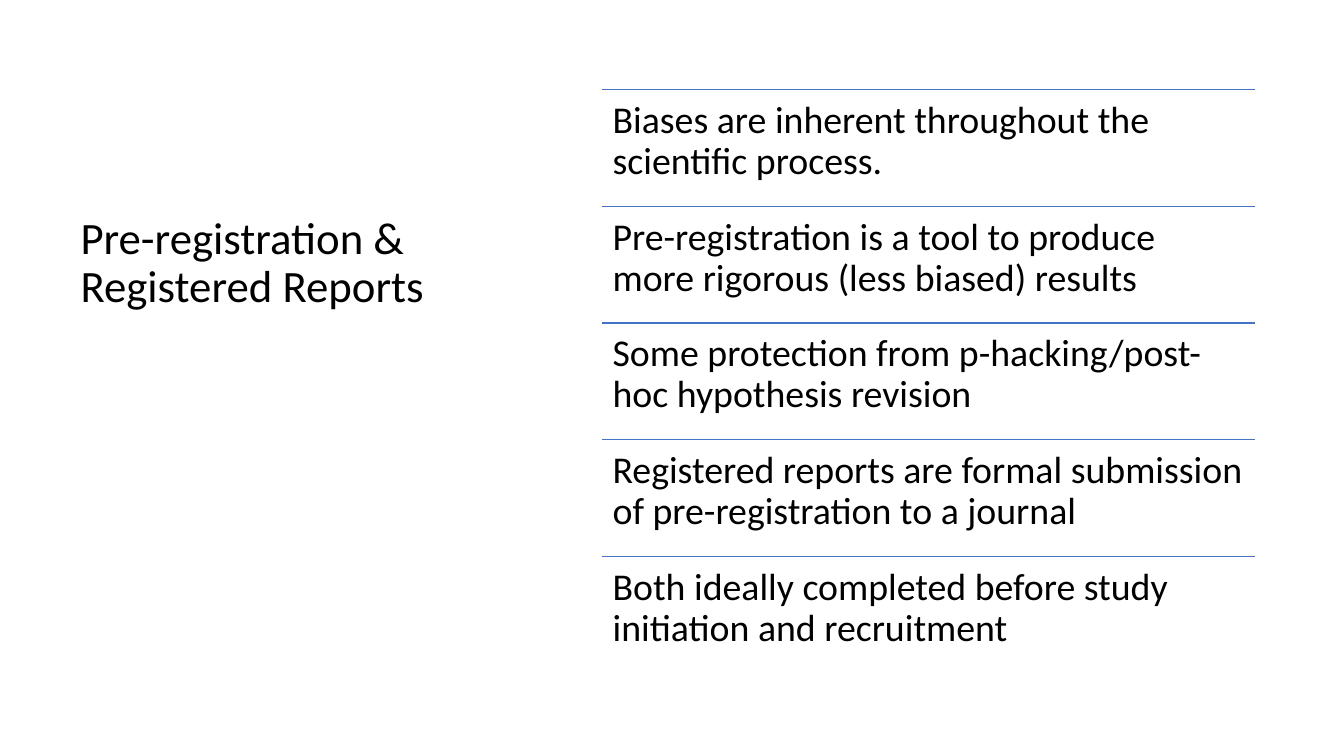
"""Build a slide with a title beside a ruled list of points on pre-registration."""
from dataclasses import dataclass

from lxml.etree import SubElement
from pptx import Presentation
from pptx.dml.color import RGBColor
from pptx.enum.shapes import MSO_CONNECTOR
from pptx.enum.text import MSO_ANCHOR
from pptx.oxml.ns import qn
from pptx.slide import Slide
from pptx.util import Cm, Pt


@dataclass(frozen=True)
class Theme:
    font: str = "Calibri"
    ink: RGBColor = RGBColor(0, 0, 0)
    rule: RGBColor = RGBColor(0x44, 0x72, 0xC4)
    head: float = 32
    body: float = 27
    lead: float = 0.9


@dataclass(frozen=True)
class Block:
    text: str
    left: float
    top: float
    width: float
    height: float
    size: float
    pad_x: float
    pad_y: float
    anchor: MSO_ANCHOR = MSO_ANCHOR.TOP


THEME = Theme()
LEFT, TOP, WIDTH, PITCH, PAD = 15.16, 2.26, 16.46, 2.94, 0.28
TITLE = Block("Pre-registration & Registered Reports", 1.78, 2.18, 9.78, 5.82,
              THEME.head, 0.25, 0.13, MSO_ANCHOR.BOTTOM)
POINTS = (
    "Biases are inherent throughout the scientific process.",
    "Pre-registration is a tool to produce more rigorous (less biased) results",
    "Some protection from p-hacking/post-hoc hypothesis revision",
    "Registered reports are formal submission of pre-registration to a journal",
    "Both ideally completed before study initiation and recruitment",
)


def add_text(slide: Slide, block: Block) -> None:
    """Add one wrapped text box."""
    box = slide.shapes.add_textbox(Cm(block.left), Cm(block.top),
                                   Cm(block.width), Cm(block.height))
    frame = box.text_frame
    frame.word_wrap = True
    frame.vertical_anchor = block.anchor
    frame.margin_left = frame.margin_right = Cm(block.pad_x)
    frame.margin_top = frame.margin_bottom = Cm(block.pad_y)
    para = frame.paragraphs[0]
    para.line_spacing = THEME.lead
    run = para.add_run()
    run.text = block.text
    run.font.name = THEME.font
    run.font.size = Pt(block.size)
    run.font.color.rgb = THEME.ink


def add_rule(slide: Slide, top: float) -> None:
    """Add one flat line across the list."""
    rule = slide.shapes.add_connector(MSO_CONNECTOR.STRAIGHT, Cm(LEFT), Cm(top),
                                      Cm(LEFT + WIDTH), Cm(top))
    rule.line.color.rgb = THEME.rule
    rule.line.width = Pt(1)
    SubElement(rule._element.spPr, qn("a:effectLst"))


def main() -> None:
    """Build and save the slide."""
    deck = Presentation()
    deck.slide_width, deck.slide_height = Cm(33.87), Cm(19.05)
    slide = deck.slides.add_slide(deck.slide_layouts[6])
    add_text(slide, TITLE)
    for row, point in enumerate(POINTS):
        top = TOP + row * PITCH
        add_rule(slide, top)
        add_text(slide, Block(point, LEFT, top, WIDTH, PITCH, THEME.body, PAD, PAD))
    deck.save("out.pptx")


main()
